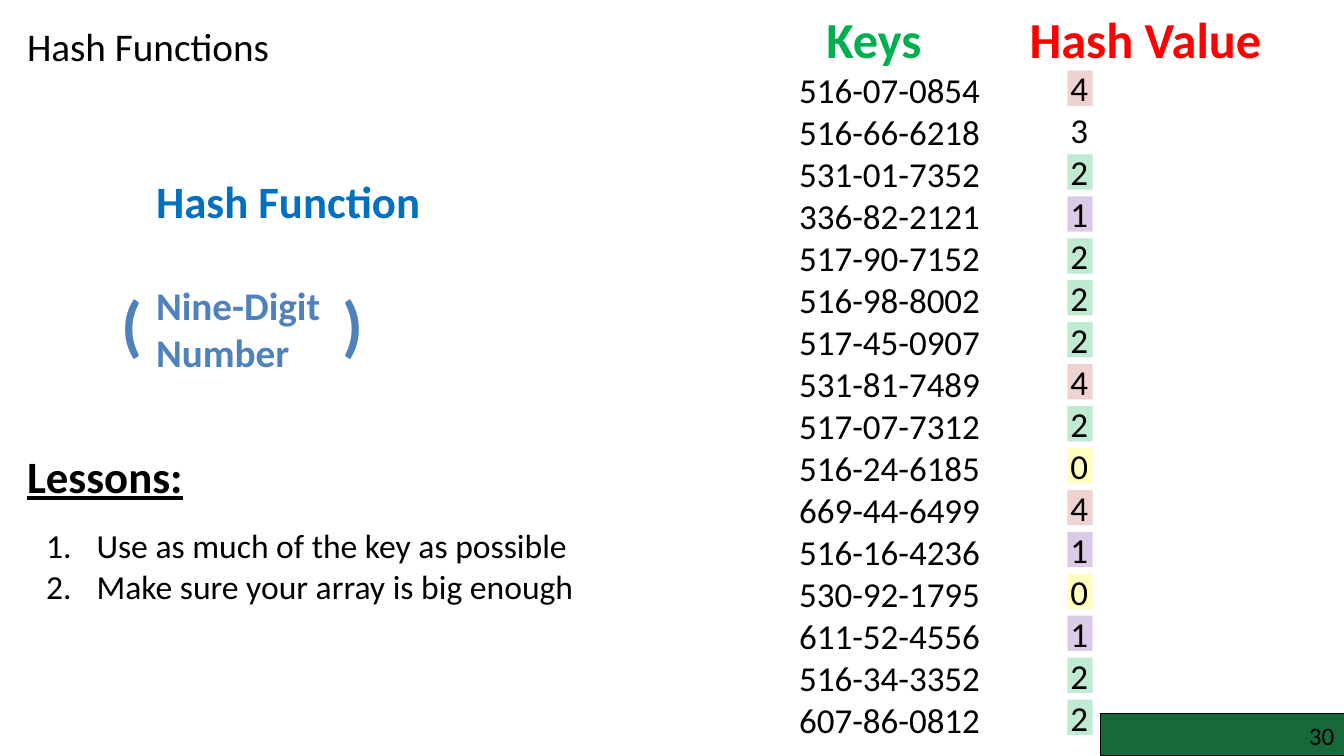
import dataclasses

import pptx
import pptx.dml.color
import pptx.enum.shapes
import pptx.enum.text
import pptx.oxml.ns
import pptx.util
from lxml import etree

Pt = pptx.util.Pt
Align = pptx.enum.text.PP_ALIGN
AutoSize = pptx.enum.text.MSO_AUTO_SIZE
RECTANGLE = pptx.enum.shapes.MSO_SHAPE.RECTANGLE


@dataclasses.dataclass(frozen=True)
class Theme:
    font: str = "Calibri"
    black: str = "000000"
    keys: str = "00B050"
    values: str = "FF0000"
    function: str = "0070C0"
    argument: str = "4F81BD"
    footer: str = "15693B"
    bucket_colors: tuple = ("FFFF00", "7030A0", "00B050", None, "C0504D")
    bucket_opacity: int = 25
    heading: int = 36
    subheading: int = 32
    title: int = 28
    bracket: int = 48
    lesson: int = 24
    row: int = 25
    number: int = 18


THEME = Theme()

HASHES = {
    "516-07-0854": 4,
    "516-66-6218": 3,
    "531-01-7352": 2,
    "336-82-2121": 1,
    "517-90-7152": 2,
    "516-98-8002": 2,
    "517-45-0907": 2,
    "531-81-7489": 4,
    "517-07-7312": 2,
    "516-24-6185": 0,
    "669-44-6499": 4,
    "516-16-4236": 1,
    "530-92-1795": 0,
    "611-52-4556": 1,
    "516-34-3352": 2,
    "607-86-0812": 2,
}
LESSONS = ["Use as much of the key as possible", "Make sure your array is big enough"]
ROW_PITCH = 29.95


def color(value):
    return pptx.dml.color.RGBColor.from_string(value)


def number_paragraph(para, indent):
    properties = para._p.get_or_add_pPr()
    properties.set("marL", str(Pt(indent)))
    properties.set("indent", str(-Pt(indent)))
    bullet = etree.SubElement(properties, pptx.oxml.ns.qn("a:buAutoNum"))
    bullet.set("type", "arabicPeriod")


def add_text(shapes, place, lines, size, ink=THEME.black, bold=False, underline=False,
             align=Align.LEFT, wrap=False, inset=True, numbered=False):
    box = shapes.add_textbox(*map(Pt, place))
    frame = box.text_frame
    frame.word_wrap = wrap
    frame.auto_size = AutoSize.SHAPE_TO_FIT_TEXT
    if not inset:
        frame.margin_left = frame.margin_right = frame.margin_top = frame.margin_bottom = 0
    frame.text = "\n".join(lines)
    for para in frame.paragraphs:
        para.alignment = align
        if numbered:
            number_paragraph(para, 36)
        para.font.name = THEME.font
        para.font.size = Pt(size)
        para.font.bold = bold
        para.font.underline = underline
        para.font.color.rgb = color(ink)


def add_block(shapes, place, fill, opacity=100, outlined=False):
    block = shapes.add_shape(RECTANGLE, *map(Pt, place))
    block.shadow.inherit = False
    block.fill.solid()
    block.fill.fore_color.rgb = color(fill)
    if opacity < 100:
        tint = block.fill._xPr.find(".//" + pptx.oxml.ns.qn("a:srgbClr"))
        etree.SubElement(tint, pptx.oxml.ns.qn("a:alpha")).set("val", str(opacity * 1000))
    if outlined:
        block.line.color.rgb = color(THEME.black)
        block.line.width = Pt(1)
    else:
        block.line.fill.background()


def add_footer(shapes):
    add_block(shapes, (786.24, 509.76, 174.24, 30.24), THEME.footer, outlined=True)
    add_text(shapes, (732.24, 514.8, 221, 21.6), ["30"], THEME.number,
             align=Align.RIGHT, wrap=True, inset=False)


def add_function(shapes):
    add_text(shapes, (104.4, 120.24, 238.3, 46), ["Hash Function"], THEME.subheading,
             THEME.function, bold=True)
    group = shapes.add_group_shape().shapes
    add_text(group, (104.4, 197.3, 148.3, 74.9), ["Nine-Digit", "Number"], THEME.title,
             THEME.argument, bold=True)
    for left, bracket in ((79.9, "("), (237.6, ")")):
        add_text(group, (left, 198, 29.5, 65.5), [bracket], THEME.bracket,
                 THEME.argument, bold=True)


def add_lessons(shapes):
    add_text(shapes, (12.24, 316.8, 156.24, 46), ["Lessons:"], THEME.subheading,
             bold=True, underline=True)
    add_text(shapes, (25.9, 371.5, 432, 65.5), LESSONS, THEME.lesson, numbered=True)


def add_hashes(shapes):
    add_text(shapes, (583.2, 2.16, 162.7, 51), ["Keys"], THEME.heading, THEME.keys,
             bold=True, wrap=True)
    add_text(shapes, (694.8, 2.16, 247, 51), ["Hash Value"], THEME.heading, THEME.values,
             bold=True, align=Align.CENTER, wrap=True)
    add_text(shapes, (563.76, 45.36, 228.2, 491.8), HASHES, THEME.row, wrap=True)
    for row, value in enumerate(HASHES.values()):
        fill = THEME.bucket_colors[value]
        if fill:
            add_block(shapes, (762.48, 50.4 + row * ROW_PITCH, 18, 25.2), fill,
                      THEME.bucket_opacity)
    add_text(shapes, (757.44, 43.92, 69, 491.8), map(str, HASHES.values()), THEME.row,
             wrap=True)


def main():
    deck = pptx.Presentation()
    deck.slide_width, deck.slide_height = Pt(960), Pt(540)
    page = deck.slides.add_slide(deck.slide_layouts[6])
    add_footer(page.shapes)
    add_text(page.shapes, (12.24, 12.24, 211, 41), ["Hash Functions"], THEME.title)
    add_function(page.shapes)
    add_lessons(page.shapes)
    add_hashes(page.shapes)
    deck.save("out.pptx")


if __name__ == "__main__":
    main()
